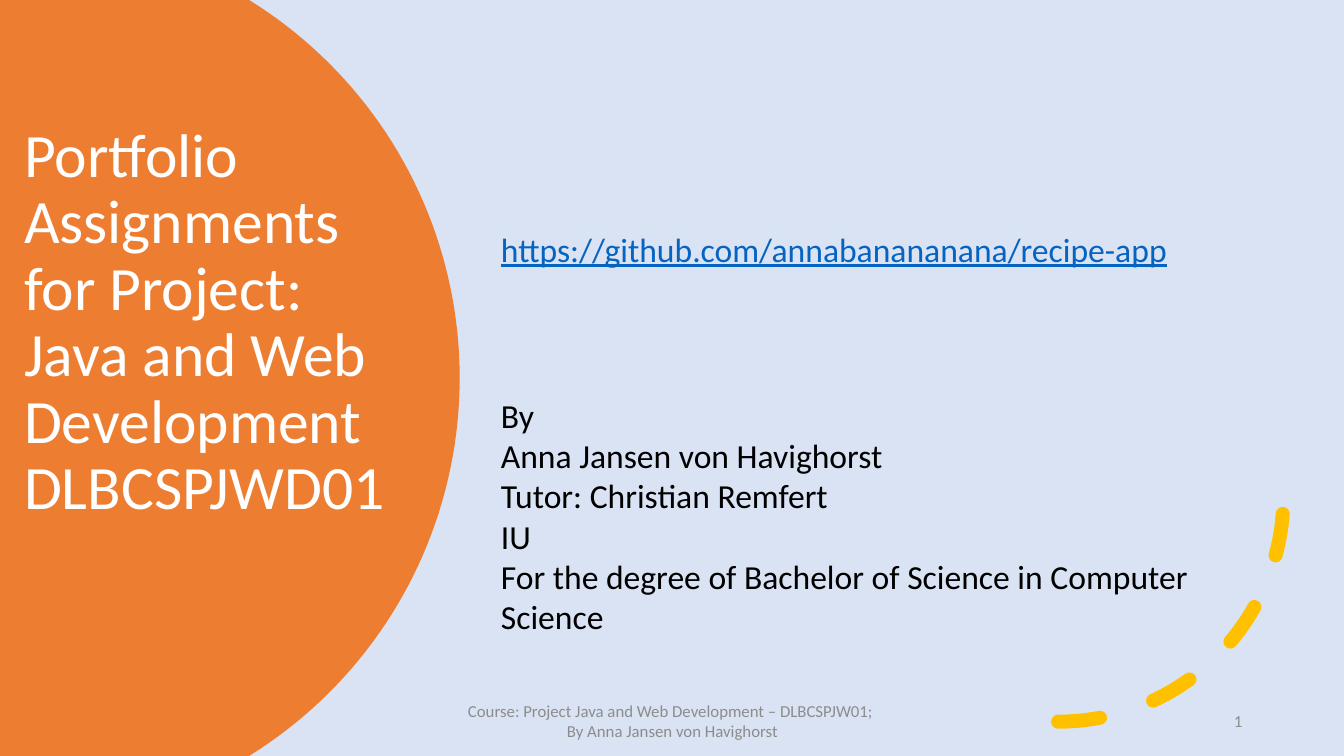
from math import asin, cos, sin

from lxml.etree import SubElement
from pptx import Presentation
from pptx.dml.color import RGBColor
from pptx.enum.dml import MSO_LINE
from pptx.enum.shapes import MSO_SHAPE
from pptx.enum.text import MSO_ANCHOR as ANCHOR, PP_ALIGN as ALIGN
from pptx.oxml.ns import qn
from pptx.util import Inches, Pt

WIDTH, HEIGHT = 13.33, 7.5
GREY = "8C8C8C"


def rgb(value):
    return RGBColor.from_string(value)


def add_text(slide, box, paragraphs, size, color, anchor=ANCHOR.MIDDLE,
             align=ALIGN.LEFT, spacing=None, underline=None, wrap=True):
    """Place paragraphs, each a list of lines parted by line breaks."""
    frame = slide.shapes.add_textbox(*map(Inches, box)).text_frame
    frame.word_wrap = wrap
    frame.vertical_anchor = anchor
    for index, lines in enumerate(paragraphs):
        paragraph = frame.paragraphs[0] if index == 0 else frame.add_paragraph()
        paragraph.alignment = align
        paragraph.line_spacing = spacing
        for number, line in enumerate(lines):
            if number:
                paragraph.add_line_break()
            run = paragraph.add_run()
            run.text = line
            run.font.name = "Calibri"
            run.font.size = Pt(size)
            run.font.color.rgb = rgb(color)
            run.font.underline = underline
        paragraph.font.size = Pt(size)


def add_title_panel(slide, left, top, width, height):
    """Orange panel whose right edge is part of a circle, with the title."""
    radius, steps = 4.41, 80
    center_x, center_y = left + width - radius, top + height / 2
    limit = asin(height / 2 / radius)
    angles = [limit * (2 * step / steps - 1) for step in range(steps + 1)]
    edge = [(center_x + radius * cos(a), center_y + radius * sin(a)) for a in angles]
    builder = slide.shapes.build_freeform(Inches(left), Inches(top), scale=1.0)
    builder.add_line_segments(
        [(Inches(x), Inches(y)) for x, y in edge + [(left, top + height)]])
    panel = builder.convert_to_shape()
    panel.shadow.inherit = False
    panel.fill.solid()
    panel.fill.fore_color.rgb = rgb("ED7D31")
    panel.line.fill.background()
    title = ["Portfolio Assignments for Project: Java and Web Development",
             "DLBCSPJWD01"]
    add_text(slide, (left + 0.14, top + 1.18, 4.11, 4.72), [title], 44, "FFFFFF",
             anchor=ANCHOR.TOP, spacing=0.9)


def add_dashed_arc(slide, left, top, size):
    arc = slide.shapes.add_shape(
        MSO_SHAPE.ARC, Inches(left), Inches(top), Inches(size), Inches(size))
    arc.shadow.inherit = False
    arc.fill.background()
    arc.line.color.rgb = rgb("FFC000")
    arc.line.width = Pt(10)
    arc.line.dash_style = MSO_LINE.DASH
    outline = arc.line._get_or_add_ln()
    outline.set("cap", "rnd")
    SubElement(outline, qn("a:round"))
    arc._element.spPr.find(qn("a:xfrm")).set("flipV", "1")


def add_details(slide, left, top):
    add_text(slide, (left, top, 6.88, 0.5),
             [["https://github.com/annabanananana/recipe-app"]], 24, "0563C1",
             anchor=ANCHOR.TOP, underline=True, wrap=False)
    author = ["By", "Anna Jansen von Havighorst", "Tutor: Christian Remfert", "IU",
              "For the degree of Bachelor of Science in Computer Science"]
    add_text(slide, (left, top + 1.53, 7.04, 2.73), [author], 24, "000000")


def add_footer(slide, top, height):
    course = [["Course: Project Java and Web Development – DLBCSPJW01; "],
              ["By Anna Jansen von Havighorst"]]
    add_text(slide, (4.42, top, 4.5, height), course, 12, GREY, align=ALIGN.CENTER)
    add_text(slide, (9.42, top, 3, height), [["1"]], 12, GREY, align=ALIGN.RIGHT)


def main():
    deck = Presentation()
    deck.slide_width, deck.slide_height = Inches(WIDTH), Inches(HEIGHT)
    slide = deck.slides.add_slide(deck.slide_layouts[6])
    slide.background.fill.solid()
    slide.background.fill.fore_color.rgb = rgb("DAE3F3")
    add_title_panel(slide, 0, 0, 4.56, HEIGHT)
    add_dashed_arc(slide, 8.26, 2.69, 4.47)
    add_details(slide, 4.87, 2.22)
    add_footer(slide, 6.95, 0.4)
    deck.save("out.pptx")


if __name__ == "__main__":
    main()
